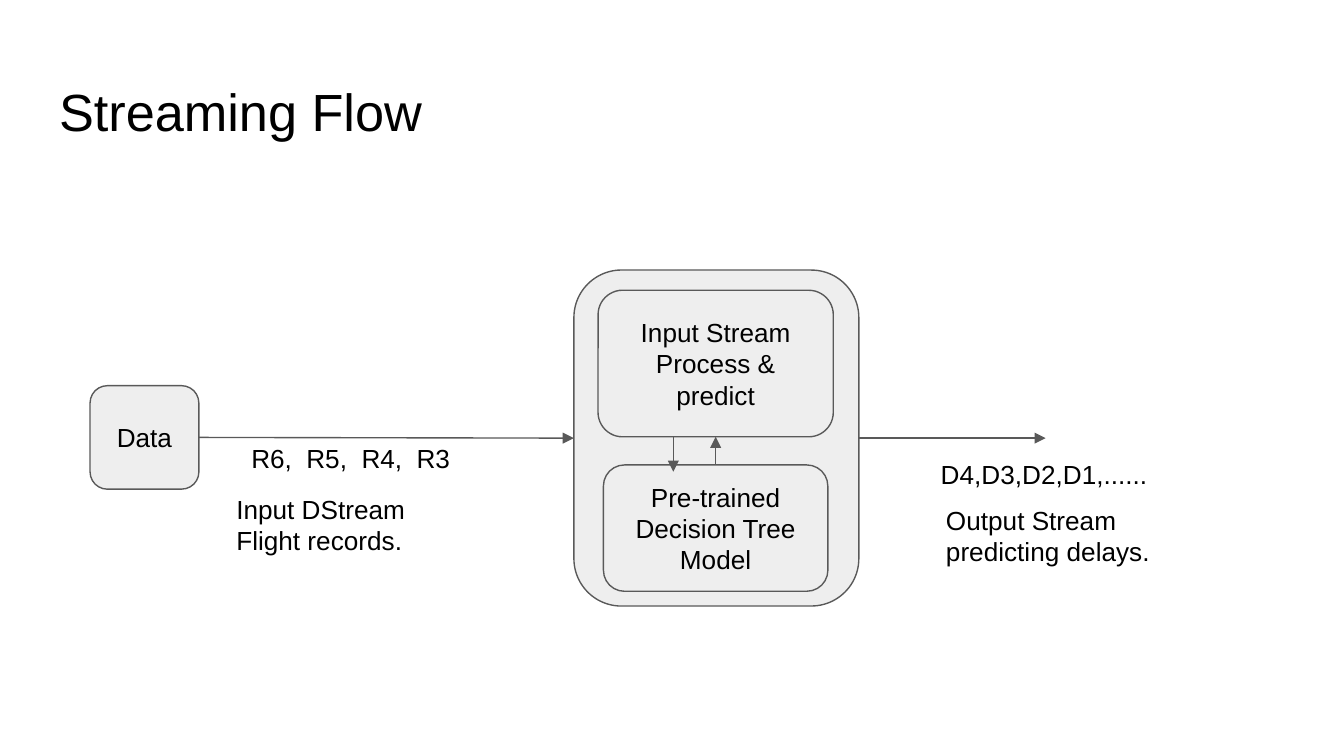
"""Build the Streaming Flow slide: data source, prediction engine and output stream."""
from lxml import etree
from pptx import Presentation
from pptx.dml.color import RGBColor
from pptx.enum.shapes import MSO_CONNECTOR, MSO_SHAPE
from pptx.enum.text import MSO_ANCHOR, PP_ALIGN
from pptx.oxml.ns import qn
from pptx.util import Inches, Pt

STRAIGHT = MSO_CONNECTOR.STRAIGHT
ROUNDED = MSO_SHAPE.ROUNDED_RECTANGLE
PROCESS = MSO_SHAPE.FLOWCHART_ALTERNATE_PROCESS
LEFT, CENTER = PP_ALIGN.LEFT, PP_ALIGN.CENTER
TOP, MIDDLE = MSO_ANCHOR.TOP, MSO_ANCHOR.MIDDLE
SIDE_TOP, SIDE_LEFT, SIDE_BOTTOM, SIDE_RIGHT = range(4)

BLACK = RGBColor(0x00, 0x00, 0x00)
GRAY = RGBColor(0x59, 0x59, 0x59)
PALE = RGBColor(0xEE, 0xEE, 0xEE)

TITLE = ("Streaming Flow", (0.34, 0.49, 9.32, 0.63))
STAGES = {
    "engine": ("", PROCESS, (4.27, 2.01, 2.12, 2.5)),
    "data": ("Data", ROUNDED, (0.67, 2.87, 0.81, 0.77)),
    "predict": ("Input Stream Process & predict", ROUNDED, (4.45, 2.16, 1.75, 1.09)),
    "model": ("Pre-trained Decision Tree Model", ROUNDED, (4.49, 3.46, 1.67, 0.94)),
}
FLOWS = [
    ((1.48, 3.26), (4.27, 3.26), ("data", SIDE_RIGHT), ("engine", SIDE_LEFT)),
    ((6.39, 3.26), (7.78, 3.26), ("engine", SIDE_RIGHT), None),
    ((5.33, 3.46), (5.33, 3.25), ("model", SIDE_TOP), ("predict", SIDE_BOTTOM)),
    ((5.01, 3.25), (5.01, 3.51), None, None),
]
LABELS = [
    ("Input DStream\nFlight records.", (1.66, 3.57, 2.05, 1.09), {}),
    ("Output Stream predicting delays.", (6.94, 3.65, 2.22, 0.77), {}),
    ("R6,\tR5,\tR4,\tR3", (1.66, 3.19, 2.21, 0.38), {"indent": 0.11, "tab_step": 0.41}),
    ("D4,D3,D2,D1,......", (6.79, 3.31, 3.03, 0.38), {"indent": 0.11}),
]
INSET = 0.1


def box(bounds):
    return [Inches(length) for length in bounds]


def write(holder, text, size=14, align=LEFT, anchor=TOP, indent=0, tab_step=0):
    frame = holder.text_frame
    frame.word_wrap = True
    frame.vertical_anchor = anchor
    frame.margin_top = frame.margin_right = frame.margin_bottom = Inches(INSET)
    frame.margin_left = Inches(INSET + indent)
    frame.text = text
    for paragraph in frame.paragraphs:
        if tab_step:
            properties = paragraph._p.get_or_add_pPr()
            stops = etree.SubElement(properties, qn("a:tabLst"))
            for number in range(1, text.count("\t") + 1):
                position = str(Inches(tab_step * number))
                etree.SubElement(stops, qn("a:tab"), pos=position, algn="l")
        paragraph.alignment = align
        for run in paragraph.runs:
            run.font.name = "Arial"
            run.font.size = Pt(size)
            run.font.color.rgb = BLACK


def add_stage(slide, text, kind, bounds):
    stage = slide.shapes.add_shape(kind, *box(bounds))
    stage.shadow.inherit = False
    stage.fill.solid()
    stage.fill.fore_color.rgb = PALE
    stage.line.color.rgb = GRAY
    stage.line.width = Pt(0.75)
    if text:
        write(stage, text, align=CENTER, anchor=MIDDLE)
    return stage


def add_flow(slide, stages, start, end, source, target):
    flow = slide.shapes.add_connector(STRAIGHT, *box(start + end))
    if source:
        flow.begin_connect(stages[source[0]], source[1])
    if target:
        flow.end_connect(stages[target[0]], target[1])
    flow.line.color.rgb = GRAY
    flow.line.width = Pt(0.75)
    etree.SubElement(flow.line._get_or_add_ln(), qn("a:tailEnd"), type="triangle")
    etree.SubElement(flow._element.spPr, qn("a:effectLst"))


def main():
    deck = Presentation()
    deck.slide_width = Inches(10)
    deck.slide_height = deck.slide_width * 9 // 16
    slide = deck.slides.add_slide(deck.slide_layouts[5])

    heading, bounds = TITLE
    title = slide.shapes.title
    title.left, title.top, title.width, title.height = box(bounds)
    write(title, heading, size=28)

    stages = {key: add_stage(slide, *stage) for key, stage in STAGES.items()}
    for flow in FLOWS:
        add_flow(slide, stages, *flow)
    for text, bounds, layout in LABELS:
        write(slide.shapes.add_textbox(*box(bounds)), text, **layout)

    deck.save("out.pptx")


if __name__ == "__main__":
    main()
